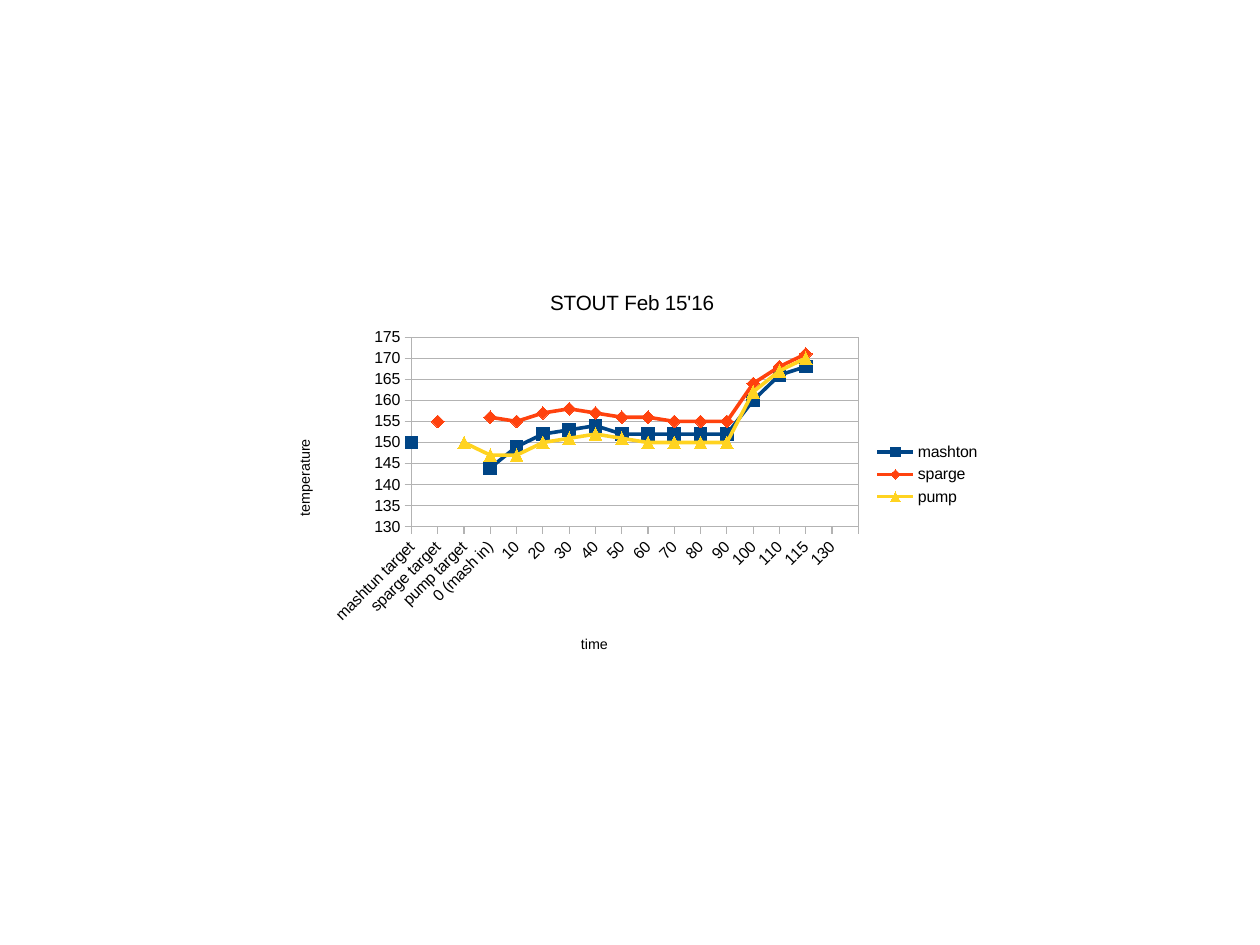
from lxml import etree
from pptx import Presentation
from pptx.chart.data import CategoryChartData
from pptx.dml.color import RGBColor
from pptx.enum import chart as ch
from pptx.oxml import ns, parse_xml
from pptx.util import Inches, Pt

CM_PER_INCH = 2.54
CHART_WIDTH, CHART_HEIGHT = 6.3, 3.54
COLORS = {
    "text": "000000",
    "grid": "B3B3B3",
    "mashton": "004586",
    "sparge": "FF420E",
    "pump": "FFD320",
}
FONT = "Arial"
TIMES = ["mashtun target", "sparge target", "pump target", "0 (mash in)",
         *[str(minute) for minute in range(10, 120, 10)], "115", "130", ""]
TEMPERATURES = {
    "mashton": [150, None, None, 144, 149, 152, 153, 154, 152,
                152, 152, 152, 152, 160, 166, 168, None, None],
    "sparge": [None, 155, None, 156, 155, 157, 158, 157, 156,
               156, 155, 155, 155, 164, 168, 171, None, None],
    "pump": [None, None, 150, 147, 147, 150, 151, 152, 151,
             150, 150, 150, 150, 162, 167, 170, None, None],
}
MARKERS = {
    "mashton": ch.XL_MARKER_STYLE.SQUARE,
    "sparge": ch.XL_MARKER_STYLE.DIAMOND,
    "pump": ch.XL_MARKER_STYLE.TRIANGLE,
}


def rgb(name):
    return RGBColor.from_string(COLORS[name])


def style_font(font, size):
    font.name = FONT
    font.size = Pt(size)
    font.bold = False
    font.color.rgb = rgb("text")


def style_line(line, color, width):
    line.color.rgb = rgb(color)
    line.width = Pt(width)


def set_layout(element, index, **inches):
    """Place a chart part by inches from the chart's top left corner."""
    for old in element.findall(ns.qn("c:layout")):
        element.remove(old)
    layout = etree.Element(ns.qn("c:layout"))
    manual = etree.SubElement(layout, ns.qn("c:manualLayout"))
    if "w" in inches:
        etree.SubElement(manual, ns.qn("c:layoutTarget"), val="inner")
    for side in "xy":
        etree.SubElement(manual, ns.qn(f"c:{side}Mode"), val="edge")
    for key, length in inches.items():
        whole = CHART_WIDTH if key in "xw" else CHART_HEIGHT
        etree.SubElement(manual, ns.qn(f"c:{key}"), val=str(length / whole))
    element.insert(index, layout)


def write_title(title, wording, size, x, y, rotation=0):
    frame = title.text_frame
    frame.text = wording
    style_font(frame.paragraphs[0].font, size)
    frame._txBody.bodyPr.set("rot", str(rotation * 60000))
    set_layout(title._element, 1, x=x, y=y)


def style_axis(axis):
    axis.major_tick_mark = ch.XL_TICK_MARK.OUTSIDE
    axis.minor_tick_mark = ch.XL_TICK_MARK.NONE
    style_font(axis.tick_labels.font, 10)
    style_line(axis.format.line, "grid", 0)


def style_time_axis(axis):
    style_axis(axis)
    axis.has_major_gridlines = False
    axis._element.txPr.bodyPr.set("rot", str(-45 * 60000))
    write_title(axis.axis_title, "time", 9, 2.68, 3.15)


def style_temperature_axis(axis):
    style_axis(axis)
    axis.minimum_scale = 130
    axis.maximum_scale = 175
    axis.major_unit = 5
    axis.has_major_gridlines = True
    style_line(axis.major_gridlines.format.line, "grid", 0)
    write_title(axis.axis_title, "temperature", 9, 0.18, 1.44, -90)


def start_lines_on_axis(value_axis):
    """Put the first category on the value axis itself."""
    element = value_axis._element
    for old in element.findall(ns.qn("c:crossBetween")):
        element.remove(old)
    crossing = etree.Element(ns.qn("c:crossBetween"), val="midCat")
    element.find(ns.qn("c:crosses")).addnext(crossing)


def frame_plot(chart):
    plot_area = chart._chartSpace.chart.plotArea
    set_layout(plot_area, 0, x=1.22, y=0.57, w=3.91, h=1.66)
    plot_area.append(parse_xml(
        f'<c:spPr {ns.nsdecls("c", "a")}><a:noFill/><a:ln w="0"><a:solidFill>'
        f'<a:srgbClr val="{COLORS["grid"]}"/></a:solidFill></a:ln></c:spPr>'))


def style_series(series):
    series.smooth = False
    style_line(series.format.line, series.name, 2.27)
    marker = series.marker
    marker.style = MARKERS[series.name]
    marker.size = 8
    marker.format.fill.solid()
    marker.format.fill.fore_color.rgb = rgb(series.name)
    marker.format.line.color.rgb = rgb(series.name)


def add_temperature_chart(slide):
    data = CategoryChartData()
    data.categories = TIMES
    for name, values in TEMPERATURES.items():
        data.add_series(name, values)
    chart = slide.shapes.add_chart(
        ch.XL_CHART_TYPE.LINE_MARKERS, Inches(2.38), Inches(2.38),
        Inches(CHART_WIDTH), Inches(CHART_HEIGHT), data).chart
    style_font(chart.font, 10)
    chart.has_title = True
    write_title(chart.chart_title, "STOUT Feb 15'16", 13, 2.4, 0.13)
    chart.has_legend = True
    chart.legend.position = ch.XL_LEGEND_POSITION.RIGHT
    chart.legend.include_in_layout = False
    style_font(chart.legend.font, 10)
    style_time_axis(chart.category_axis)
    style_temperature_axis(chart.value_axis)
    start_lines_on_axis(chart.value_axis)
    frame_plot(chart)
    chart.plots[0].vary_by_categories = False
    for series in chart.plots[0].series:
        style_series(series)


def main():
    deck = Presentation()
    deck.slide_width = Inches(28 / CM_PER_INCH)
    deck.slide_height = Inches(21 / CM_PER_INCH)
    slide = deck.slides.add_slide(deck.slide_layouts[6])
    add_temperature_chart(slide)
    deck.save("out.pptx")


if __name__ == "__main__":
    main()
